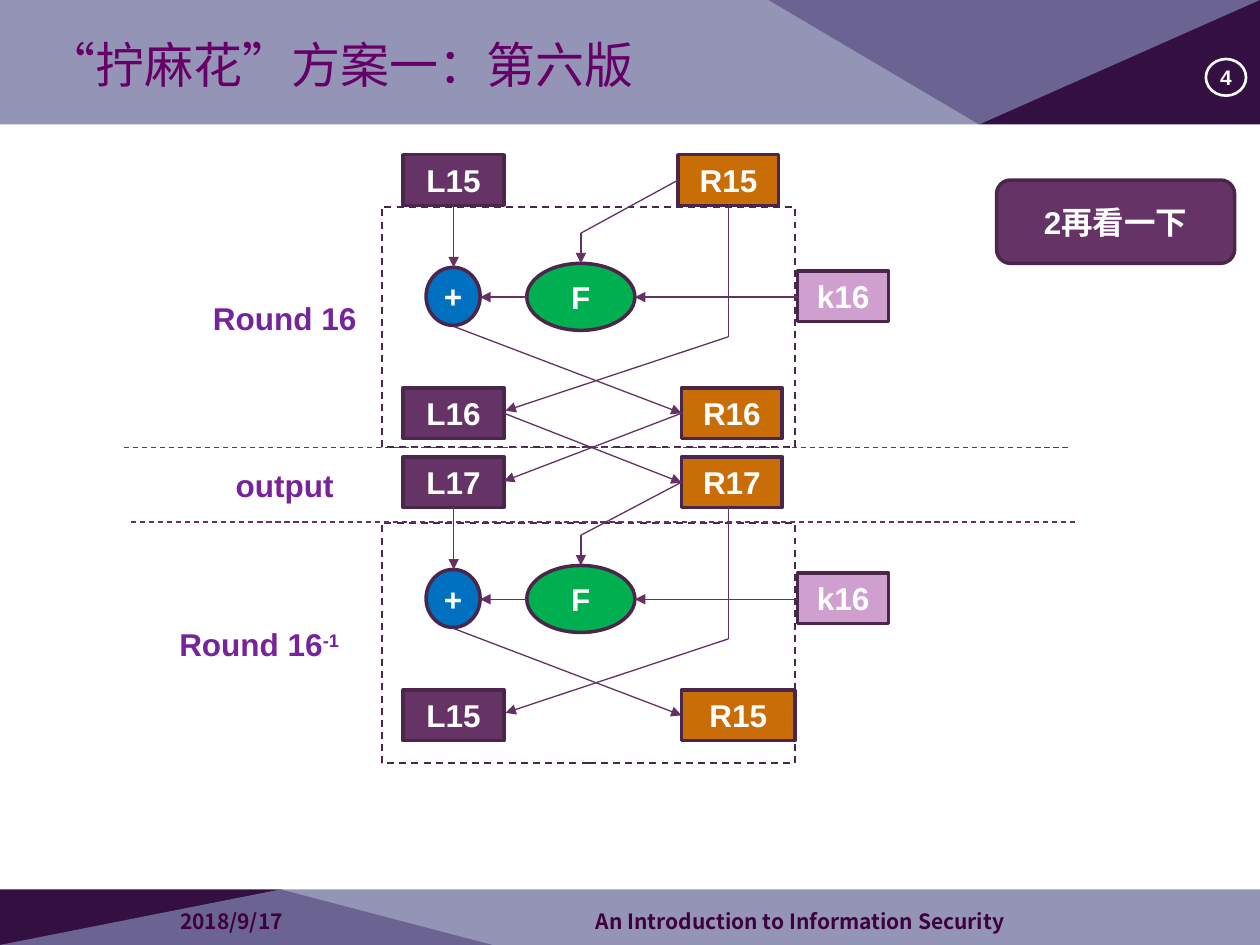
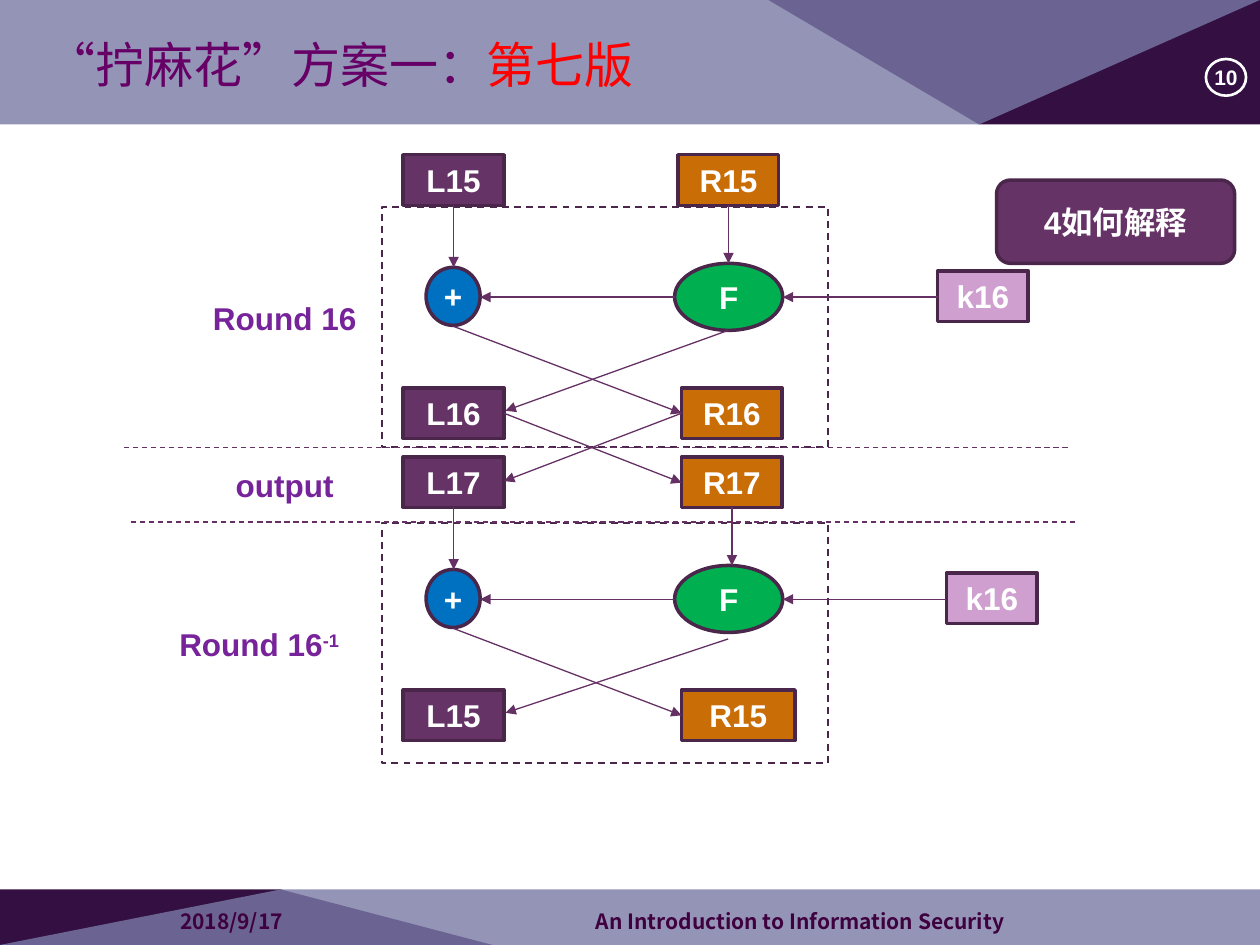
from lxml import etree
from pptx import Presentation
from pptx.dml.color import RGBColor
from pptx.enum.dml import MSO_LINE
from pptx.enum.shapes import MSO_CONNECTOR, MSO_SHAPE
from pptx.enum.text import MSO_ANCHOR, MSO_AUTO_SIZE, PP_ALIGN
from pptx.oxml.ns import qn
from pptx.util import Cm, Pt

DASH = MSO_LINE.DASH
STRAIGHT = MSO_CONNECTOR.STRAIGHT
RECT, OVAL, ROUNDED = MSO_SHAPE.RECTANGLE, MSO_SHAPE.OVAL, MSO_SHAPE.ROUNDED_RECTANGLE
MIDDLE = MSO_ANCHOR.MIDDLE
LEFT, CENTER = PP_ALIGN.LEFT, PP_ALIGN.CENTER

COLORS = {
    "dark": "330F42", "band": "7A7AA6", "title": "660066", "red": "FF0000",
    "footer": "3E003E", "label": "772399", "white": "FFFFFF", "outline": "4B264B",
    "link": "653165", "left": "663366", "right": "C96D07", "function": "00B050",
    "xor": "0070C0", "key": "CFA0CF",
}
CJK = "Noto Sans CJK SC"
SANS = "Arial"

ROUND_STEP = 6.09
BOX_W, BOX_H = 2.03, 1.02
LEFT_X, RIGHT_X = 8.13, 13.74
LEFT_MID = LEFT_X + BOX_W / 2
XOR_X, XOR_W = 8.59, 1.09
F_W, F_TOP, F_H = 2.18, 5.31, 1.35
FLOW_Y = 5.99


def write(shape, runs, size, align=CENTER, font=SANS, bold=True, inset=0.25):
    frame = shape.text_frame
    frame.auto_size = MSO_AUTO_SIZE.NONE
    frame.word_wrap = inset > 0
    frame.vertical_anchor = MIDDLE
    frame.margin_left = frame.margin_right = Cm(inset)
    frame.margin_top = frame.margin_bottom = Cm(inset / 2)
    paragraph = frame.paragraphs[0]
    paragraph.alignment = align
    for text, color, baseline in runs:
        run = paragraph.add_run()
        run.text = text
        run.font.size, run.font.bold, run.font.name = Pt(size), bold, font
        run.font.color.rgb = RGBColor.from_string(COLORS[color])
        props = run.font._element
        props.set("lang", "zh-CN")
        if baseline:
            props.set("baseline", str(baseline * 1000))
        etree.SubElement(props, qn("a:ea")).set("typeface", CJK)


def link(slide, x1, y1, x2, y2, arrow=True, dashed=False):
    line = slide.shapes.add_connector(STRAIGHT, Cm(x1), Cm(y1), Cm(x2), Cm(y2))
    line.line.color.rgb = RGBColor.from_string(COLORS["link"])
    line.line.width = Pt(0.75)
    if dashed:
        line.line.dash_style = DASH
    props = line.element.spPr
    if arrow:
        etree.SubElement(props.find(qn("a:ln")), qn("a:tailEnd")).set("type", "triangle")
    etree.SubElement(props, qn("a:effectLst"))


prs = Presentation()
prs.slide_width, prs.slide_height = Cm(25.4), Cm(19.05)
layout = prs.slide_layouts[5]

VERSIONS = [
    {"number": "4", "title": [("“拧麻花”方案一：第六版", "title", 0)],
     "badge": "2再看一下", "bent": True, "frame_w": 8.33,
     "f_x": [10.62, 10.62], "key_x": [16.08, 16.08]},
    {"number": "10", "title": [("“拧麻花”方案一：", "title", 0), ("第七版", "red", 0)],
     "badge": "4如何解释", "bent": False, "frame_w": 8.99,
     "f_x": [13.6, 13.6], "key_x": [18.9, 19.08]},
]
ROUNDS = [
    {"inputs": ("L15", "R15"), "outputs": ("L16", "R16"),
     "in_x": 13.67, "out_w": BOX_W, "frame_y": 4.17},
    {"inputs": ("L17", "R17"), "outputs": ("L15", "R15"),
     "in_x": RIGHT_X, "out_w": 2.29, "frame_y": 10.54},
]
BANDS = [
    ("dark", 100, [(0, 19.05), (0, 17.93), (5.66, 17.93), (9.93, 19.05)]),
    ("band", 80, [(0, 19.05), (5.66, 17.93), (25.4, 17.93), (25.4, 19.05)]),
    ("dark", 100, [(25.4, 0), (25.4, 2.51), (19.74, 2.51), (15.49, 0)]),
    ("band", 80, [(25.4, 0), (19.74, 2.51), (0, 2.51), (0, 0)]),
]
LABELS = [
    (3.91, 5.89, 3.66, 1.02, [("Round 16", "label", 0)], 18, CENTER, SANS),
    (3.91, 9.27, 3.66, 1.02, [("output", "label", 0)], 18, CENTER, SANS),
    (2.9, 12.47, 4.65, 1.02, [("Round 16", "label", 0), ("-1", "label", 30)], 18, CENTER, SANS),
    (3.38, 18.19, 5.92, 0.74, [("2018/9/17", "footer", 0)], 12, LEFT, CJK),
    (11.76, 18.19, 12.14, 0.74,
     [("An Introduction to Information Security", "footer", 0)], 12, LEFT, CJK),
]

slides = [prs.slides.add_slide(layout) for version in VERSIONS]

for position, (color, opacity, corners) in enumerate(BANDS):
    points = [(Cm(x), Cm(y)) for x, y in corners]
    outline = slides[0].shapes.build_freeform(*points[0])
    outline.add_line_segments(points[1:])
    band = outline.convert_to_shape()
    band.shadow.inherit = False
    band.fill.solid()
    band.fill.fore_color.rgb = RGBColor.from_string(COLORS[color])
    band.line.fill.background()
    if opacity < 100:
        tint = next(band.element.spPr.iter(qn("a:srgbClr")))
        etree.SubElement(tint, qn("a:alpha")).set("val", str(opacity * 1000))
    layout.shapes.element.insert(2 + position, band.element)

for slide, version in zip(slides, VERSIONS):
    title = slide.shapes.title
    title.left, title.top, title.width, title.height = Cm(0.69), Cm(0.53), Cm(16.2), Cm(1.52)
    write(title, version["title"], 28, LEFT, CJK, bold=False)

    nodes = [
        (OVAL, 24.31, 1.19, 0.81, 0.74, None, "white", 1.5, version["number"], 12),
        (ROUNDED, 20.09, 3.63, 4.8, 1.68, "left", "outline", 2, version["badge"], 18),
    ]
    for index, stage in enumerate(ROUNDS):
        dy = index * ROUND_STEP
        f_x, key_x = version["f_x"][index], version["key_x"][index]
        nodes += [
            (RECT, LEFT_X, 3.12 + dy, BOX_W, BOX_H, "left", "outline", 2, stage["inputs"][0], 18),
            (RECT, stage["in_x"], 3.12 + dy, BOX_W, BOX_H, "right", "outline", 2,
             stage["inputs"][1], 18),
            (OVAL, XOR_X, 5.39 + dy, XOR_W, 1.17, "xor", "outline", 2, "+", 18),
            (OVAL, f_x, F_TOP + dy, F_W, F_H, "function", "outline", 2, "F", 18),
            (RECT, key_x, 5.46 + dy, 1.83, BOX_H, "key", "outline", 2, "k16", 18),
            (RECT, LEFT_X, 7.82 + dy, BOX_W, BOX_H, "left", "outline", 2, stage["outputs"][0], 18),
            (RECT, RIGHT_X, 7.82 + dy, stage["out_w"], BOX_H, "right", "outline", 2,
             stage["outputs"][1], 18),
            (RECT, 7.7, stage["frame_y"], version["frame_w"], 4.85, None, "outline", 1, "", 18),
        ]

    for kind, x, y, w, h, fill, edge, weight, text, size in nodes:
        node = slide.shapes.add_shape(kind, Cm(x), Cm(y), Cm(w), Cm(h))
        node.shadow.inherit = False
        if fill:
            node.fill.solid()
            node.fill.fore_color.rgb = RGBColor.from_string(COLORS[fill])
        else:
            node.fill.background()
        node.line.color.rgb = RGBColor.from_string(COLORS[edge])
        node.line.width = Pt(weight)
        if text:
            write(node, [(text, "white", 0)], size, inset=0)
        else:
            node.line.dash_style = DASH

    for index, stage in enumerate(ROUNDS):
        dy = index * ROUND_STEP
        f_x, key_x = version["f_x"][index], version["key_x"][index]
        f_mid = f_x + F_W / 2
        link(slide, LEFT_MID, 4.14 + dy, LEFT_MID, 5.39 + dy)
        link(slide, f_x, FLOW_Y + dy, XOR_X + XOR_W, FLOW_Y + dy)
        link(slide, key_x, FLOW_Y + dy, f_x + F_W, FLOW_Y + dy)
        link(slide, LEFT_MID, 6.58 + dy, RIGHT_X, 8.33 + dy)
        if version["bent"]:
            link(slide, stage["in_x"], 3.63 + dy, f_mid, 4.7 + dy, arrow=False)
            link(slide, f_mid, 4.7 + dy, f_mid, F_TOP + dy)
            link(slide, 14.68, 4.14 + dy, 14.68, 6.79 + dy, arrow=False)
            swap_y = 6.79
        else:
            right_mid = stage["in_x"] + BOX_W / 2
            link(slide, right_mid, 4.14 + dy, right_mid, F_TOP + dy)
            swap_y = [6.66, 6.79][index]
        link(slide, 14.68, swap_y + dy, 10.19, 8.28 + dy)

    link(slide, LEFT_X + BOX_W, 8.33, RIGHT_X, 9.73)
    link(slide, RIGHT_X, 8.33, LEFT_X + BOX_W, 9.7)
    for x, y in [(2.49, 9.02), (2.64, 10.52)]:
        link(slide, x, y, x + 19.05, y, arrow=False, dashed=True)

    for x, y, w, h, runs, size, align, font in LABELS:
        label = slide.shapes.add_textbox(Cm(x), Cm(y), Cm(w), Cm(h))
        write(label, runs, size, align, font)

prs.save("out.pptx")
